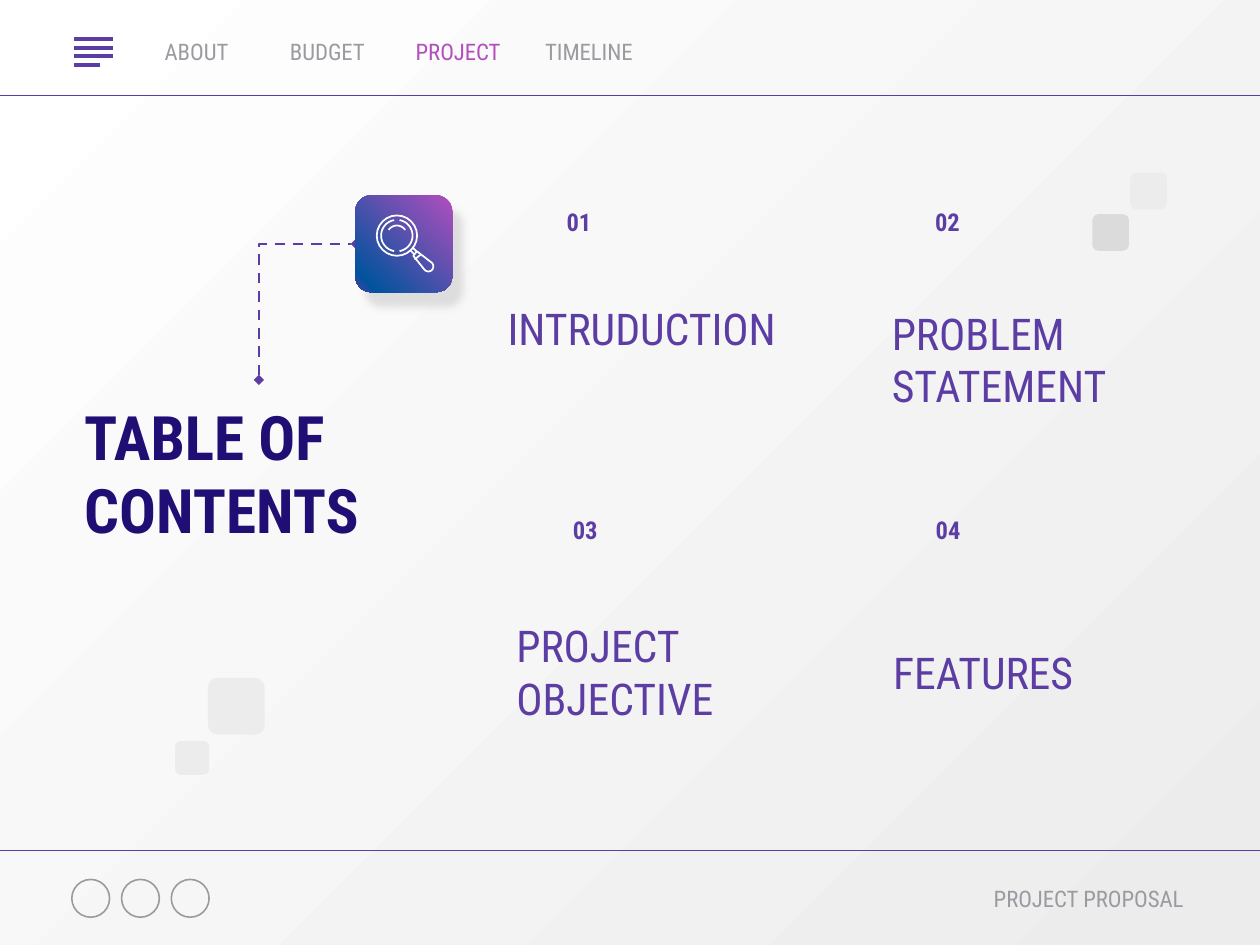
from copy import deepcopy
from dataclasses import dataclass
from math import cos, radians, sin

from lxml import etree
from pptx import Presentation
from pptx.dml.color import RGBColor
from pptx.enum.dml import MSO_LINE
from pptx.enum.shapes import MSO_CONNECTOR, MSO_SHAPE
from pptx.enum.text import MSO_ANCHOR, PP_ALIGN
from pptx.oxml.ns import qn
from pptx.util import Inches, Pt

LEFT, CENTER, RIGHT = PP_ALIGN.LEFT, PP_ALIGN.CENTER, PP_ALIGN.RIGHT
TOP, MIDDLE = MSO_ANCHOR.TOP, MSO_ANCHOR.MIDDLE
STRAIGHT, ELBOW = MSO_CONNECTOR.STRAIGHT, MSO_CONNECTOR.ELBOW
OVAL, ROUNDED = MSO_SHAPE.OVAL, MSO_SHAPE.ROUNDED_RECTANGLE
DASH = MSO_LINE.DASH

WIDTH, HEIGHT = Inches(10), Inches(7.5)
COLS, ROWS = 100, 75  # square cells that cover the slide


@dataclass(frozen=True)
class Theme:
    font: str = "Roboto Condensed"
    purple: str = "5C3DA4"
    navy: str = "200E74"
    pink: str = "B24EBE"
    blue: str = "01539D"
    grey: str = "9A9AA0"
    silver: str = "DBDBDB"
    pale: str = "ECECEC"
    white: str = "FFFFFF"
    shadow: str = "CCCCCC"
    heading: int = 35
    topic: int = 25
    number: int = 14
    label: int = 13


THEME = Theme()


def rgb(color):
    return RGBColor.from_string(color)


def cells(*lengths):
    """Turn alternating columns and rows into EMU."""
    units = (WIDTH / COLS, HEIGHT / ROWS)
    return [round(n * units[i % 2]) for i, n in enumerate(lengths)]


def apply(obj, values):
    for name, value in values.items():
        setattr(obj, name, value)


def add_text(s, text, at, size, color, align=LEFT, bold=False,
             anchor=MIDDLE, inset=0.1):
    tf = s.shapes.add_textbox(*cells(*at)).text_frame
    apply(tf, {"word_wrap": True, "vertical_anchor": anchor,
               "margin_top": Inches(inset), "margin_bottom": Inches(inset)})
    p = tf.paragraphs[0]
    p.text = text
    p.alignment = align
    for r in p.runs:
        apply(r.font, {"name": THEME.font, "size": Pt(size), "bold": bold})
        r.font.color.rgb = rgb(color)


def style_line(sp, color, width):
    sp.line.color.rgb = rgb(color)
    sp.line.width = Pt(width)


def add_line(s, ends, color, width, kind=STRAIGHT):
    line = s.shapes.add_connector(kind, *cells(*ends))
    style_line(line, color, width)
    etree.SubElement(line.element.spPr, qn("a:effectLst"))
    return line


def add_shape(s, kind, at, fill=None):
    sp = s.shapes.add_shape(kind, *cells(*at))
    sp.shadow.inherit = False
    if fill:
        sp.fill.solid()
        sp.fill.fore_color.rgb = rgb(fill)
        sp.line.fill.background()
    else:
        sp.fill.background()
    return sp


def add_stroke(s, points, closed=False):
    start, *rest = [cells(*point) for point in points]
    builder = s.shapes.build_freeform(*start, scale=1.0)
    builder.add_line_segments(rest, close=closed)
    sp = builder.convert_to_shape()
    sp.shadow.inherit = False
    sp.fill.background()
    style_line(sp, THEME.white, 1)


def arc(x, y, radius, first, last, steps=24):
    angles = [radians(first + (last - first) * i / steps)
              for i in range(steps + 1)]
    return [(x + radius * cos(a), y + radius * sin(a)) for a in angles]


def set_gradient(fill, element, angle, stops):
    fill.gradient()
    fill.gradient_angle = angle
    gs_list = next(element.iter(qn("a:gsLst")))
    for _ in stops[2:]:
        gs_list.append(deepcopy(gs_list[0]))
    for stop, (position, color) in zip(fill.gradient_stops, stops):
        stop.position = position
        stop.color.rgb = rgb(color)


def add_header(s):
    add_line(s, (0, 7.6, COLS, 7.6), THEME.purple, 0.75)
    for i, length in enumerate((3.1, 3.1, 3.1, 2)):  # menu bars
        y = 3.1 + 0.68 * i
        add_line(s, (5.9, y, 5.9 + length, y), THEME.purple, 2.25)
    for i, name in enumerate(("ABOUT", "BUDGET", "PROJECT", "TIMELINE")):
        color = THEME.pink if name == "PROJECT" else THEME.grey
        add_text(s, name, (10.1 + 10.38 * i, 1.9, 11, 4.4),
                 THEME.label, color, CENTER)


def add_footer(s):
    add_line(s, (0, 67.5, COLS, 67.5), THEME.purple, 0.75)
    for i in range(3):  # plain rings for the social links
        ring = add_shape(s, OVAL, (5.7 + 3.95 * i, 69.8, 3, 3))
        style_line(ring, THEME.grey, 0.9)
    add_text(s, "PROJECT PROPOSAL", (69.9, 69.1, 25, 4.4),
             THEME.label, THEME.grey, RIGHT)


def add_elbow(s):
    # Drawn flat, then turned so that it runs up and to the right
    elbow = add_line(s, (19, 20.9, 29.8, 28.6), THEME.purple, 1.5, ELBOW)
    elbow.line.dash_style = DASH
    sp_pr = elbow.element.spPr
    sp_pr.find(qn("a:xfrm")).set("rot", str(270 * 60000))
    sp_pr.find(qn("a:prstGeom")).set("prst", "bentConnector2")
    for end in ("a:headEnd", "a:tailEnd"):
        etree.SubElement(sp_pr.find(qn("a:ln")), qn(end), type="diamond")


def add_search_tile(s):
    tile = add_shape(s, ROUNDED, (28.2, 15.5, 7.7, 7.7), THEME.blue)
    set_gradient(tile.fill, tile.element, 225,
                 [(0, THEME.pink), (0.89, THEME.blue), (1, THEME.purple)])
    effects = tile.element.spPr.find(qn("a:effectLst"))
    shadow = etree.SubElement(
        effects, qn("a:outerShdw"), blurRad=str(Pt(4.5)), dist=str(Pt(9.8)),
        dir=str(55 * 60000), algn="bl", rotWithShape="0")
    color = etree.SubElement(shadow, qn("a:srgbClr"), val=THEME.shadow)
    etree.SubElement(color, qn("a:alpha"), val="60000")

    # Magnifier: rim, inner rim in two halves, glint
    x, y = 31.5, 18.7
    for radius, first, last in ((1.6, 0, 360), (1.25, -80, 80),
                                (1.25, 100, 260), (0.8, 215, 325)):
        add_stroke(s, arc(x, y, radius, first, last))
    # Neck, collar and grip
    for points in ([(32.6, 19.9), (32.9, 20.2)], [(32.8, 19.7), (33.1, 20)],
                   [(33.4, 20.2), (32.9, 20.6)]):
        add_stroke(s, points)
    add_stroke(s, [(32.8, 20.3), (33.1, 19.95),
                   *arc(34, 21.15, 0.4, -45, 135)], closed=True)


def add_topics(s):
    topics = (
        ("01", (42, 15.9, 7.9, 7.1), "INTRUDUCTION", (39.3, 23.1, 25, 5.8)),
        ("02", (70.7, 15.9, 9, 7.1), "PROBLEM\vSTATEMENT",
         (69.8, 25.6, 20, 5.8)),
        ("03", (42, 40.4, 8.9, 7.1), "PROJECT\vOBJECTIVE",
         (40, 50.4, 20, 5.8)),
        ("04", (70.7, 40.4, 9.1, 7.1), "FEATURES", (69.9, 50.4, 20, 5.8)),
    )
    for number, number_at, topic, topic_at in topics:
        add_text(s, number, number_at, THEME.number, THEME.purple, CENTER,
                 bold=True, anchor=TOP, inset=0.05)
        add_text(s, topic, topic_at, THEME.topic, THEME.purple)


def add_decor(s):
    for x, y, side, color in ((86.7, 17, 2.9, THEME.silver),
                              (89.7, 13.7, 2.9, THEME.pale),
                              (16.5, 53.8, 4.5, THEME.pale),
                              (13.9, 58.8, 2.7, THEME.pale)):
        add_shape(s, ROUNDED, (x, y, side, side), color)


def main():
    prs = Presentation()
    apply(prs, {"slide_width": WIDTH, "slide_height": HEIGHT})
    s = prs.slides.add_slide(prs.slide_layouts[6])
    set_gradient(s.background.fill, s.element, 315,
                 [(0, THEME.white), (1, THEME.pale)])
    add_header(s)
    add_footer(s)
    add_text(s, "TABLE OF CONTENTS", (5.7, 30.1, 29.8, 14.8),
             THEME.heading, THEME.navy, bold=True)
    add_elbow(s)
    add_search_tile(s)
    add_topics(s)
    add_decor(s)
    prs.save("out.pptx")


if __name__ == "__main__":
    main()
